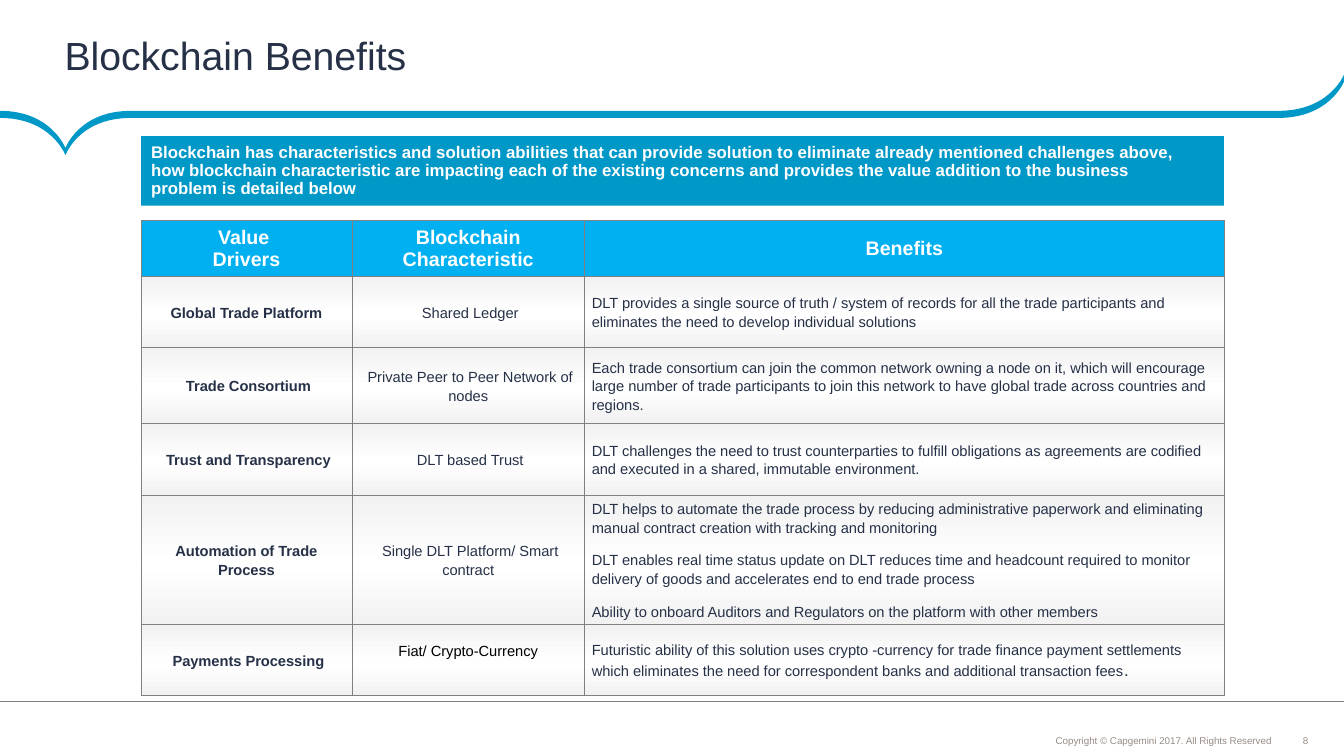
from dataclasses import dataclass

from lxml.etree import SubElement
from pptx import Presentation
from pptx.dml.color import RGBColor
from pptx.enum.shapes import MSO_CONNECTOR, MSO_SHAPE
from pptx.enum.text import MSO_ANCHOR, PP_ALIGN
from pptx.oxml.ns import qn
from pptx.util import Inches, Pt


@dataclass(frozen=True)
class Theme:
    font: str = "Arial"
    blue: str = "0098C7"
    head: str = "00B0F0"
    navy: str = "263147"
    white: str = "FFFFFF"
    black: str = "000000"
    pale: str = "F2F2F2"
    grid: str = "808080"
    foot: str = "998C85"
    title_size: float = 28
    head_size: float = 14
    lead_size: float = 12
    cell_size: float = 10.5
    foot_size: float = 7


THEME = Theme()
LEFT, CENTER, RIGHT = PP_ALIGN.LEFT, PP_ALIGN.CENTER, PP_ALIGN.RIGHT

LEAD = (
    "Blockchain has characteristics and solution abilities that can provide solution "
    "to eliminate already mentioned challenges above, \n"
    "how blockchain characteristic are impacting each of the existing concerns "
    "and provides the value addition to the business \n"
    "problem is detailed below"
)
HEADS = ["Value \nDrivers", "Blockchain Characteristic", "Benefits"]
ROWS = [
    ("Global Trade Platform", " Shared Ledger", [
        "DLT provides a single source of truth / system of records for all the trade "
        "participants and eliminates the need to develop individual solutions"]),
    (" Trade Consortium", " Private Peer to Peer Network of nodes", [
        "Each trade consortium can join the common network owning a node on it, which "
        "will encourage large number of trade participants to join this network to "
        "have global trade across countries and regions."]),
    (" Trust and Transparency", " DLT based Trust", [
        "DLT challenges the need to trust counterparties to fulfill obligations as "
        "agreements are codified and executed in a shared, immutable environment."]),
    ("Automation of Trade Process", " Single DLT Platform/ Smart contract", [
        "DLT helps to automate the trade process by reducing administrative paperwork "
        "and eliminating manual contract creation with tracking and monitoring",
        "DLT enables real time status update on DLT reduces time and headcount required "
        "to monitor delivery of goods and accelerates end to end trade process",
        "Ability to onboard Auditors and Regulators on the platform with other members"]),
    (" Payments Processing", " Fiat/ Crypto-Currency ", [
        "Futuristic ability of this solution uses crypto -currency for trade finance "
        "payment settlements which eliminates the need for correspondent banks and "
        "additional transaction fees"]),
]
WIDTHS = [2.09, 2.31, 6.34]
HEIGHTS = [0.55, 0.71, 0.75, 0.71, 1.2, 0.71]

# Each curve: first handle, second handle, end point
TOP = 0.74
START = (12.68, 1.1)
CURVES = [
    ((1.3, 1.1), (1.3, 1.1), (1.3, 1.1)),
    ((0.78, 1.1), (0.65, 1.47), (0.65, 1.47)),
    ((0.65, 1.47), (0.51, 1.1), (0, 1.1)),
    ((0, 1.17), (0, 1.17), (0, 1.17)),
    ((0.51, 1.17), (0.65, 1.54), (0.65, 1.54)),
    ((0.65, 1.54), (0.78, 1.17), (1.3, 1.17)),
    ((12.68, 1.17), (12.68, 1.17), (12.68, 1.17)),
    ((13.19, 1.17), (13.33, 0.81), (13.33, 0.81)),
    ((13.33, TOP), (13.33, TOP), (13.33, TOP)),
    ((13.33, TOP), (13.19, 1.1), (12.68, 1.1)),
]


def color(code):
    return RGBColor.from_string(code)


def add_run(para, text, size, ink, bold=False):
    """Add text to a paragraph, turning newlines into line breaks."""
    for i, line in enumerate(text.split("\n")):
        if i:
            para.add_line_break()
        run = para.add_run()
        run.text = line
        font = run.font
        font.name, font.size, font.bold = THEME.font, Pt(size), bold
        font.color.rgb = color(ink)


def set_para(para, align=LEFT, pitch=None, after=0):
    para.alignment = align
    para.line_spacing = pitch
    para.space_after = Pt(after)


def set_inset(item, left, top, right, low):
    item.margin_left, item.margin_top = Inches(left), Inches(top)
    item.margin_right, item.margin_bottom = Inches(right), Inches(low)


def add_label(slide, text, box, inset, size, ink, align=LEFT,
              anchor=MSO_ANCHOR.MIDDLE, pitch=None, wrap=True):
    frame = slide.shapes.add_textbox(*map(Inches, box)).text_frame
    frame.word_wrap, frame.vertical_anchor = wrap, anchor
    set_inset(frame, *inset)
    set_para(frame.paragraphs[0], align, pitch)
    add_run(frame.paragraphs[0], text, size, ink)


def paint(shape, fill):
    shape.shadow.inherit = False
    shape.fill.solid()
    shape.fill.fore_color.rgb = color(fill)
    shape.line.fill.background()


def add_wave(slide):
    """Draw the outline through the end points, then bend each side."""
    pen = slide.shapes.build_freeform(*map(Inches, START), scale=1.0)
    pen.add_line_segments([tuple(map(Inches, end)) for *_, end in CURVES])
    wave = pen.convert_to_shape()
    sides = list(wave._element.iter(qn("a:lnTo")))
    for side, curve in zip(sides, CURVES):
        side.tag = qn("a:cubicBezTo")
        side.clear()
        for x, y in curve:
            SubElement(side, qn("a:pt"), x=str(Inches(x)), y=str(Inches(y - TOP)))
    paint(wave, THEME.blue)


def add_rule(slide, y):
    rule = slide.shapes.add_connector(
        MSO_CONNECTOR.STRAIGHT, Inches(13.33), Inches(y), 0, Inches(y))
    rule.line.color.rgb = color(THEME.grid)
    rule.line.width = Pt(0.75)
    SubElement(rule._element.spPr, qn("a:effectLst"))


def add_lead(slide):
    bar = slide.shapes.add_shape(
        MSO_SHAPE.RECTANGLE, *map(Inches, (1.4, 1.35, 10.74, 0.69)))
    paint(bar, THEME.blue)
    frame = bar.text_frame
    frame.word_wrap, frame.vertical_anchor = True, MSO_ANCHOR.MIDDLE
    set_para(frame.paragraphs[0], pitch=0.9, after=18)
    add_run(frame.paragraphs[0], LEAD, THEME.lead_size, THEME.white, True)


def set_border(cell):
    props = cell._tc.get_or_add_tcPr()
    for side in ("lnL", "lnR", "lnT", "lnB"):
        line = SubElement(props, qn(f"a:{side}"), w=str(Pt(0.5)))
        SubElement(SubElement(line, qn("a:solidFill")), qn("a:srgbClr"), val=THEME.grid)


def set_shade(cell):
    """Fill a cell with a soft vertical gradient."""
    grad = SubElement(cell._tc.get_or_add_tcPr(), qn("a:gradFill"))
    stops = SubElement(grad, qn("a:gsLst"))
    for place, code in ((0, THEME.pale), (54, THEME.white), (100, THEME.pale)):
        stop = SubElement(stops, qn("a:gs"), pos=str(place * 1000))
        SubElement(stop, qn("a:srgbClr"), val=code)
    SubElement(grad, qn("a:lin"), ang="5400000", scaled="0")


def fill_cell(cell, texts, align, size, ink, bold, pitch=None, after=0):
    cell.vertical_anchor = MSO_ANCHOR.MIDDLE
    set_inset(cell, 0.07, 0, 0.07, 0)
    set_border(cell)
    frame = cell.text_frame
    for i, text in enumerate(texts, 1):
        para = frame.add_paragraph() if i > 1 else frame.paragraphs[0]
        set_para(para, align, pitch, after if i < len(texts) else 0)
        add_run(para, text, size, ink, bold)


def add_grid(slide):
    table = slide.shapes.add_table(
        len(HEIGHTS), len(WIDTHS), Inches(1.4), Inches(2.19),
        Inches(sum(WIDTHS)), Inches(sum(HEIGHTS))).table
    table.horz_banding = False
    for col, width in zip(table.columns, WIDTHS):
        col.width = Inches(width)
    for row, height in zip(table.rows, HEIGHTS):
        row.height = Inches(height)
    for c, text in enumerate(HEADS):
        cell = table.cell(0, c)
        fill_cell(cell, [text], CENTER, THEME.head_size, THEME.white, True)
        cell.fill.solid()
        cell.fill.fore_color.rgb = color(THEME.head)
    last = len(ROWS)
    for r, (driver, trait, gains) in enumerate(ROWS, 1):
        for c, texts in enumerate(([driver], [trait], gains)):
            cell = table.cell(r, c)
            ink = THEME.black if (r, c) == (last, 1) else THEME.navy
            fill_cell(cell, texts, LEFT if c == 2 else CENTER,
                      THEME.cell_size, ink, c == 0, 1.15, 10)
            set_shade(cell)
    table.cell(last, 1).margin_bottom = Inches(0.2)
    add_run(table.cell(last, 2).text_frame.paragraphs[0], ".",
            THEME.lead_size, THEME.navy)


def main():
    deck = Presentation()
    deck.slide_width, deck.slide_height = Inches(13.33), Inches(7.5)
    slide = deck.slides.add_slide(deck.slide_layouts[6])
    add_label(slide, "8", (12.89, 7.29, 0.12, 0.12), (0, 0, 0, 0),
              THEME.foot_size, THEME.foot, CENTER, wrap=False)
    add_wave(slide)
    add_label(slide, "Copyright © Capgemini 2017. All Rights Reserved",
              (9.07, 7.25, 3.58, 0.2), (0.04, 0.04, 0.04, 0.04),
              THEME.foot_size, THEME.foot, RIGHT, MSO_ANCHOR.BOTTOM, 0.9)
    add_rule(slide, 6.96)
    add_label(slide, "Blockchain Benefits", (0, 0, 13.33, 1.1),
              (0.64, 0.04, 0.18, 0.06), THEME.title_size, THEME.navy)
    add_lead(slide)
    add_grid(slide)
    deck.save("out.pptx")


if __name__ == "__main__":
    main()
